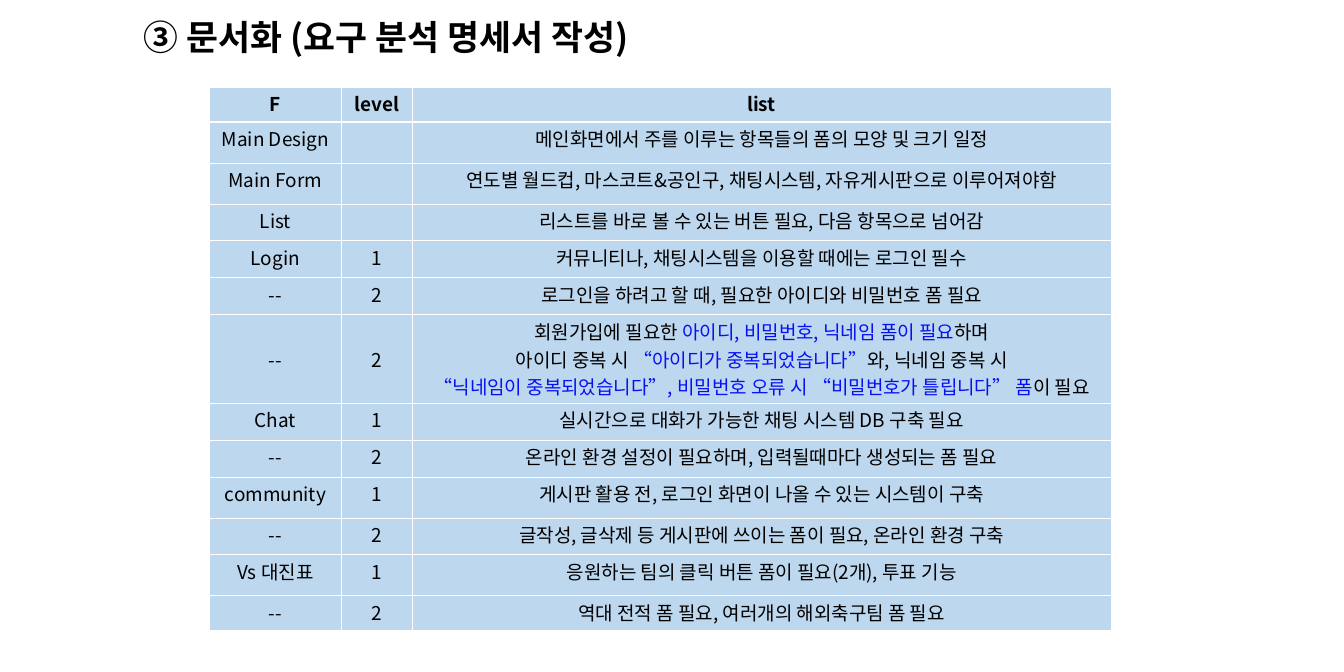
from lxml import etree
from pptx import Presentation
from pptx.dml.color import RGBColor
from pptx.enum import text
from pptx.oxml import ns
from pptx.util import Cm, Pt

FONT = "Noto Sans CJK KR"
BLACK, BLUE, SKY, WHITE = "000000", "0611F2", "BDD7EE", "FFFFFF"
COLS = [5.89, 3.15, 31.22]
TALL = 6

# Row height in cm, then the three cells; text between bars is blue.
ROWS = [
    (1.55, "F", "level", "list"),
    (1.83, "Main Design", "", "메인화면에서 주를 이루는 항목들의 폼의 모양 및 크기 일정"),
    (1.83, "Main Form", "", "연도별 월드컵, 마스코트&공인구, 채팅시스템, 자유게시판으로 이루어져야함"),
    (1.65, "List", "", "리스트를 바로 볼 수 있는 버튼 필요, 다음 항목으로 넘어감"),
    (1.65, "Login", "1", "커뮤니티나, 채팅시스템을 이용할 때에는 로그인 필수"),
    (1.65, "--", "2", "로그인을 하려고 할 때, 필요한 아이디와 비밀번호 폼 필요"),
    (3.43, "--", "2",
     "회원가입에 필요한 |아이디, 비밀번호, 닉네임 폼이 필요|하며\n"
     "아이디 중복 시 |“아이디가 중복되었습니다”|와, 닉네임 중복 시\n"
     "|“닉네임이 중복되었습니다”, 비밀번호 오류 시 “비밀번호가 틀립니다” 폼|이 필요"),
    (1.65, "Chat", "1", "실시간으로 대화가 가능한 채팅 시스템 DB 구축 필요"),
    (1.65, "--", "2", "온라인 환경 설정이 필요하며, 입력될때마다 생성되는 폼 필요"),
    (1.83, "community", "1", "게시판 활용 전, 로그인 화면이 나올 수 있는 시스템이 구축"),
    (1.65, "--", "2", "글작성, 글삭제 등 게시판에 쓰이는 폼이 필요, 온라인 환경 구축"),
    (1.83, "Vs 대진표", "1", "응원하는 팀의 클릭 버튼 폼이 필요(2개), 투표 기능"),
    (1.52, "--", "2", "역대 전적 폼 필요, 여러개의 해외축구팀 폼 필요"),
]


def color(code):
    return RGBColor.from_string(code)


def add_run(para, words, size, bold, code=BLACK):
    run = para.add_run()
    run.text = words
    font = run.font
    font.name, font.size, font.bold = FONT, Pt(size), bold
    font.color.rgb = color(code)
    etree.SubElement(run._r.get_or_add_rPr(), ns.qn("a:ea"), typeface=FONT)


def add_line(cell, side, width):
    """Draw one border of a cell; call before its fill is set."""
    props = cell._tc.get_or_add_tcPr()
    line = etree.SubElement(props, ns.qn("a:ln" + side), w=str(Pt(width)))
    fill = etree.SubElement(line, ns.qn("a:solidFill"))
    etree.SubElement(fill, ns.qn("a:srgbClr"), val=WHITE)


def fill_cell(cell, words, head, under):
    for side in "LRTB":
        thick = (side == "B" and head) or (side == "T" and under)
        add_line(cell, side, 3 if thick else 1)
    cell.fill.solid()
    cell.fill.fore_color.rgb = color(SKY)
    frame = cell.text_frame
    for i, line in enumerate(words.split("\n")):
        para = frame.add_paragraph() if i else frame.paragraphs[0]
        para.alignment = text.PP_ALIGN.CENTER
        for j, part in enumerate(line.split("|")):
            if part:
                add_run(para, part, 24, head, BLUE if j % 2 else BLACK)


def set_title(slide, words):
    title = slide.shapes.title
    title.left, title.top = Cm(5), Cm(0.41)
    title.width, title.height = Cm(24.49), Cm(2.69)
    frame = title.text_frame
    frame.vertical_anchor = text.MSO_ANCHOR.MIDDLE
    para = frame.paragraphs[0]
    para.alignment = text.PP_ALIGN.CENTER
    para.line_spacing = 0.9
    add_run(para, words, 44, True)


def add_grid(slide):
    high = sum(row[0] for row in ROWS)
    grid = slide.shapes.add_table(len(ROWS), len(COLS), Cm(9.35), Cm(3.89),
                                  Cm(sum(COLS)), Cm(high)).table
    grid.first_row = grid.horz_banding = False
    for col, width in zip(grid.columns, COLS):
        col.width = Cm(width)
    for r, (height, *cells) in enumerate(ROWS):
        grid.rows[r].height = Cm(height)
        for c, words in enumerate(cells):
            cell = grid.cell(r, c)
            fill_cell(cell, words, r == 0, r == 1)
            if r == TALL:
                cell.vertical_anchor = text.MSO_ANCHOR.MIDDLE


def main():
    deck = Presentation()
    deck.slide_width, deck.slide_height = Cm(60), Cm(30)
    slide = deck.slides.add_slide(deck.slide_layouts[5])
    set_title(slide, "③ 문서화 (요구 분석 명세서 작성)")
    add_grid(slide)
    deck.save("out.pptx")


if __name__ == "__main__":
    main()
